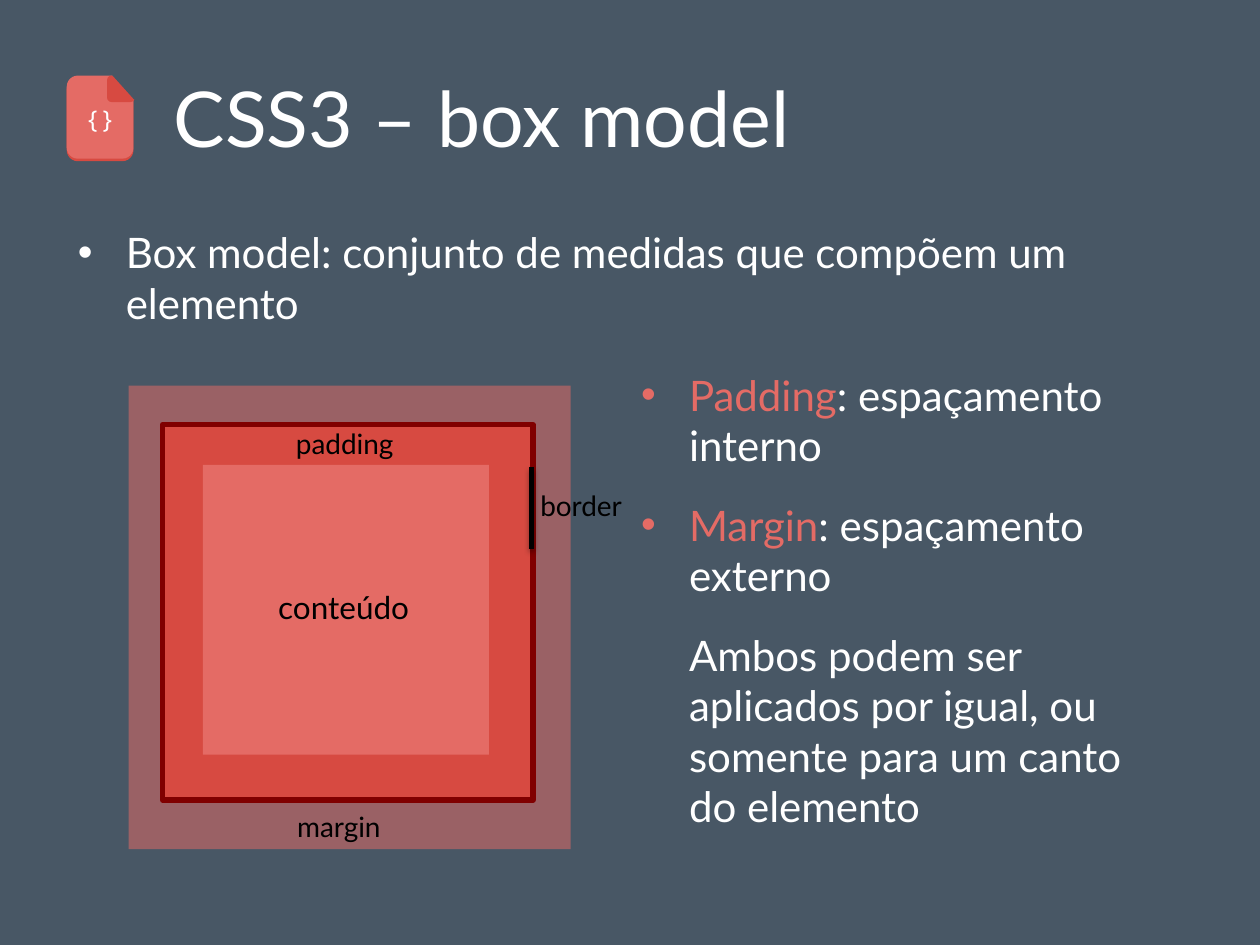
from dataclasses import dataclass

from lxml.etree import SubElement
from pptx import Presentation
from pptx.dml.color import RGBColor
from pptx.enum.shapes import MSO_CONNECTOR, MSO_SHAPE
from pptx.enum.text import MSO_ANCHOR, MSO_AUTO_SIZE
from pptx.oxml.ns import qn
from pptx.util import Emu, Inches, Pt

COLS, ROWS = 100, 75
WIDE, HIGH = Inches(10), Inches(7.5)
SLATE, CORAL, RED, MAROON = "485765", "E46B65", "D74A41", "800000"
WHITE, BLACK = "FFFFFF", "000000"
SANS, MONO = "Lato", "Noto Sans Mono"
HANG = Inches(0.38)


@dataclass
class Box:
    """A frame in grid columns and rows."""
    col: float
    row: float
    wide: float
    high: float

    def frame(self) -> tuple:
        """Return the frame as slide lengths."""
        return (across(self.col), down(self.row),
                across(self.wide), down(self.high))


@dataclass
class Block:
    """A filled preset shape."""
    box: Box
    fill: str
    form: int = MSO_SHAPE.RECTANGLE
    alpha: int = 100
    edge: str = ""
    turn: float = 0


@dataclass
class Label:
    """A single line of text that does not wrap."""
    box: Box
    text: str
    size: int = 16
    tint: str = BLACK
    face: str = SANS


@dataclass
class Point:
    """A list paragraph with an optional coloured lead word."""
    text: str
    lead: str = ""
    mark: bool = True


def across(cols: float) -> Emu:
    """Turn grid columns into a length."""
    return Emu(round(WIDE * cols / COLS))


def down(rows: float) -> Emu:
    """Turn grid rows into a length."""
    return Emu(round(HIGH * rows / ROWS))


def paint(target, tint: str) -> None:
    """Give a fill a solid colour."""
    target.solid()
    target.fore_color.rgb = RGBColor.from_string(tint)


def style(font, size: int, tint: str, face: str = SANS) -> None:
    """Set face, size and colour of a font."""
    font.name, font.size = face, Pt(size)
    font.color.rgb = RGBColor.from_string(tint)


def draw_block(slide, block: Block) -> None:
    """Draw one filled shape."""
    shape = slide.shapes.add_shape(block.form, *block.box.frame())
    shape.shadow.inherit = False
    shape.rotation = block.turn
    paint(shape.fill, block.fill)
    if block.alpha < 100:
        tone = shape.fill._xPr.find(".//" + qn("a:srgbClr"))
        SubElement(tone, qn("a:alpha"), val=str(block.alpha * 1000))
    if block.edge:
        paint(shape.line.fill, block.edge)
        shape.line.width = Pt(3)
    else:
        shape.line.fill.background()


def draw_label(slide, label: Label) -> None:
    """Draw one short label."""
    frame = slide.shapes.add_textbox(*label.box.frame()).text_frame
    frame.word_wrap = False
    frame.auto_size = MSO_AUTO_SIZE.SHAPE_TO_FIT_TEXT
    frame.text = label.text
    style(frame.paragraphs[0].font, label.size, label.tint, label.face)


def draw_title(slide, box: Box, text: str) -> None:
    """Draw the slide heading."""
    frame = slide.shapes.add_textbox(*box.frame()).text_frame
    frame.word_wrap = True
    frame.vertical_anchor = MSO_ANCHOR.MIDDLE
    frame.text = text
    style(frame.paragraphs[0].font, 44, WHITE)


def draw_list(slide, box: Box, points: list[Point]) -> None:
    """Draw paragraphs with hanging bullets."""
    frame = slide.shapes.add_textbox(*box.frame()).text_frame
    frame.word_wrap = True
    for spot, point in enumerate(points):
        para = frame.paragraphs[0] if spot == 0 else frame.add_paragraph()
        para.space_before, para.space_after = Pt(4.8), Pt(12)
        props = para._p.get_or_add_pPr()
        props.set("marL", str(HANG))
        if point.mark:
            props.set("indent", str(-HANG))
            SubElement(props, qn("a:buFont"), typeface="Arial")
            SubElement(props, qn("a:buChar"), char="•")
        for text, tint in ((point.lead, CORAL), (point.text, WHITE)):
            if text:
                run = para.add_run()
                run.text = text
                style(run.font, 24, tint)


def draw_line(slide, col: float, top: float, end: float) -> None:
    """Draw an upright line with a soft shadow."""
    line = slide.shapes.add_connector(
        MSO_CONNECTOR.STRAIGHT, across(col), down(top), across(col), down(end))
    paint(line.line.fill, BLACK)
    line.line.width = Pt(2.75)
    glow = SubElement(line._element.spPr, qn("a:effectLst"))
    shade = SubElement(glow, qn("a:outerShdw"), blurRad=str(Pt(3.1)),
                       dist=str(Pt(1.6)), dir="5400000", rotWithShape="0")
    tone = SubElement(shade, qn("a:srgbClr"), val=BLACK)
    SubElement(tone, qn("a:alpha"), val="38000")


ROUND = MSO_SHAPE.ROUNDED_RECTANGLE
MARGIN = Block(Box(10.2, 30.6, 35.1, 36.8), CORAL, alpha=53)
ICON = [
    Block(Box(5.3, 6.2, 5.3, 6.6), RED, ROUND),
    Block(Box(5.3, 6, 5.3, 6.6), CORAL, ROUND),
    Block(Box(8.5, 6, 2.2, 2.1), RED, ROUND),
    Block(Box(9.5, 4.5, 2.7, 2.9), SLATE, MSO_SHAPE.ISOSCELES_TRIANGLE,
          turn=48),
]
INNER = [
    Block(Box(12.9, 33.7, 29.4, 29.8), RED, edge=MAROON),
    Block(Box(16.1, 36.9, 22.7, 23), CORAL),
]
LABELS = [
    Label(Box(5.8, 7.8, 4.4, 3.4), "{}", 14, WHITE, MONO),
    Label(Box(21.1, 46.2, 12.5, 4), "conteúdo", 18),
    Label(Box(22.5, 33.4, 9.9, 3.7), "padding"),
    Label(Box(41.9, 38.3, 8.7, 3.7), "border"),
    Label(Box(22.6, 63.8, 8.9, 3.7), "margin"),
]
INTRO = [Point("Box model: conjunto de medidas que compõem um elemento")]
TERMS = [
    Point(": espaçamento interno", "Padding"),
    Point(": espaçamento externo", "Margin"),
    Point("Ambos podem ser aplicados por igual, ou somente para um canto "
          "do elemento", mark=False),
]


def main() -> None:
    """Build and save the slide."""
    deck = Presentation()
    deck.slide_width, deck.slide_height = WIDE, HIGH
    slide = deck.slides.add_slide(deck.slide_layouts[6])
    paint(slide.background.fill, SLATE)
    draw_title(slide, Box(12.8, 3, 82.2, 12.5), "CSS3 – box model")
    for block in [MARGIN, *ICON, *INNER]:
        draw_block(slide, block)
    for label in LABELS:
        draw_label(slide, label)
    draw_list(slide, Box(5.2, 17.5, 89.8, 9.9), INTRO)
    draw_list(slide, Box(49.9, 28.8, 43.2, 38.5), TERMS)
    draw_line(slide, 42.2, 37.1, 43.6)
    deck.save("out.pptx")


if __name__ == "__main__":
    main()
